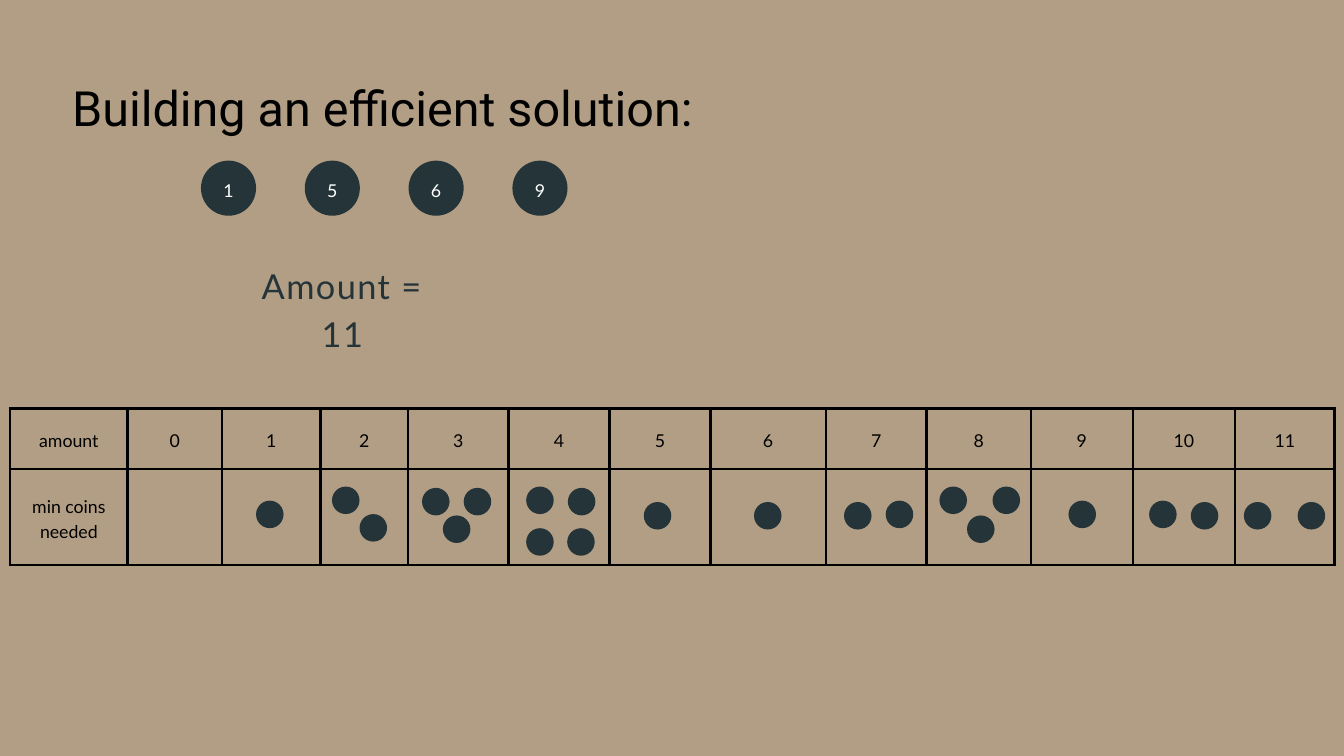
from dataclasses import dataclass

from lxml import etree
from pptx import Presentation
from pptx.dml.color import RGBColor
from pptx.enum.shapes import MSO_SHAPE
from pptx.enum.text import MSO_ANCHOR, PP_ALIGN
from pptx.oxml.ns import qn
from pptx.util import Inches, Pt

OVAL = MSO_SHAPE.OVAL
CENTER = PP_ALIGN.CENTER
MIDDLE = MSO_ANCHOR.MIDDLE
TOP = MSO_ANCHOR.TOP

TAN = RGBColor(0xB2, 0x9E, 0x84)
SLATE = RGBColor(0x25, 0x34, 0x39)
BLACK = RGBColor(0, 0, 0)
WHITE = RGBColor(0xFF, 0xFF, 0xFF)

TABLE_LEFT, TABLE_TOP = 0.15, 6.08
COLUMN_WIDTHS = [1.75, 1.4, 1.47, 1.3, 1.5, 1.5, 1.5, 1.72, 1.5, 1.55, 1.52, 1.52, 1.48]
ROW_HEIGHTS = [0.9, 1.43]
CELL_MARGIN = 0.21
BORDER_WIDTH = 3

COIN_VALUES = [1, 5, 6, 9]
COIN_LEFT, COIN_TOP, COIN_STEP, COIN_SIZE = 2.99, 2.39, 1.545, 0.82
DOT_SIZE = 0.41

# Left and top of each small coin, by the amount it helps to pay
DOTS = {
    1: [(3.81, 7.45)],
    2: [(4.94, 7.24), (5.35, 7.65)],
    3: [(6.28, 7.26), (6.9, 7.26), (6.59, 7.67)],
    4: [(7.83, 7.24), (8.45, 7.26), (7.83, 7.86), (8.44, 7.86)],
    5: [(9.58, 7.47)],
    6: [(11.22, 7.47)],
    7: [(12.56, 7.47), (13.18, 7.45)],
    8: [(13.98, 7.24), (14.77, 7.24), (14.39, 7.67)],
    9: [(15.9, 7.45)],
    10: [(17.1, 7.45), (17.72, 7.47)],
    11: [(18.51, 7.47), (19.31, 7.47)],
}


@dataclass(frozen=True)
class TextStyle:
    font: str
    size: float
    color: RGBColor
    line_spacing: float
    tracking: float = 0


TITLE = TextStyle("Roboto", 52, BLACK, 72.8)
AMOUNT = TextStyle("Lato", 36.8, SLATE, 51.6, 1.5)
CELL = TextStyle("Lato", 19, BLACK, 26.6)
COIN = TextStyle("Lato", 19, WHITE, 26.6, 0.8)


def write_text(frame, text: str, style: TextStyle) -> None:
    para = frame.paragraphs[0]
    para.alignment = CENTER
    para.line_spacing = Pt(style.line_spacing)
    span = para.add_run()
    span.text = text
    font_format = {"name": style.font, "size": Pt(style.size)}
    for name, value in font_format.items():
        setattr(span.font, name, value)
    span.font.color.rgb = style.color
    if style.tracking:
        span._r.get_or_add_rPr().set("spc", str(round(style.tracking * 100)))


def format_frame(frame, margin: float, anchor: MSO_ANCHOR) -> None:
    frame_format = {
        "word_wrap": True,
        "vertical_anchor": anchor,
        "margin_left": Inches(margin),
        "margin_right": Inches(margin),
        "margin_top": Inches(margin),
        "margin_bottom": Inches(margin),
    }
    for name, value in frame_format.items():
        setattr(frame, name, value)


def add_text(page, left: float, top: float, width: float, height: float,
             text: str, style: TextStyle) -> None:
    box = page.shapes.add_textbox(Inches(left), Inches(top), Inches(width), Inches(height))
    format_frame(box.text_frame, 0, TOP)
    write_text(box.text_frame, text, style)


def add_coin(page, left: float, top: float, size: float, label: str = "") -> None:
    coin = page.shapes.add_shape(OVAL, Inches(left), Inches(top), Inches(size), Inches(size))
    coin.shadow.inherit = False
    coin.fill.solid()
    coin.fill.fore_color.rgb = SLATE
    coin.line.fill.background()
    if label:
        format_frame(coin.text_frame, 0.06, MIDDLE)
        write_text(coin.text_frame, label, COIN)


def add_borders(cell) -> None:
    properties = cell._tc.get_or_add_tcPr()
    for side in ("a:lnL", "a:lnR", "a:lnT", "a:lnB"):
        line = etree.SubElement(properties, qn(side), w=str(Pt(BORDER_WIDTH)))
        fill = etree.SubElement(line, qn("a:solidFill"))
        etree.SubElement(fill, qn("a:srgbClr"), val=str(BLACK))


def add_amount_table(page) -> None:
    rows = [
        ["amount"] + [str(amount) for amount in range(12)],
        ["min coins needed"] + [""] * 12,
    ]
    table = page.shapes.add_table(
        len(rows), len(COLUMN_WIDTHS), Inches(TABLE_LEFT), Inches(TABLE_TOP),
        Inches(sum(COLUMN_WIDTHS)), Inches(sum(ROW_HEIGHTS))).table
    table.first_row = False
    table.horz_banding = False
    for column, width in zip(table.columns, COLUMN_WIDTHS):
        column.width = Inches(width)
    for row, height, texts in zip(table.rows, ROW_HEIGHTS, rows):
        row.height = Inches(height)
        for cell, text in zip(row.cells, texts):
            add_borders(cell)
            cell.fill.background()
            cell.vertical_anchor = MIDDLE
            for side in ("left", "right", "top", "bottom"):
                setattr(cell, f"margin_{side}", Inches(CELL_MARGIN))
            if text:
                write_text(cell.text_frame, text, CELL)


def main() -> None:
    deck = Presentation()
    deck.slide_width = Inches(20)
    deck.slide_height = Inches(11.25)
    page = deck.slides.add_slide(deck.slide_layouts[6])
    page.background.fill.solid()
    page.background.fill.fore_color.rgb = TAN

    add_amount_table(page)
    for index, value in enumerate(COIN_VALUES):
        add_coin(page, COIN_LEFT + index * COIN_STEP, COIN_TOP, COIN_SIZE, str(value))
    add_text(page, 0.52, 1.02, 10.34, 0.97, "Building an efficient solution:", TITLE)
    add_text(page, 3.7, 3.84, 2.79, 0.69, "Amount = 11", AMOUNT)
    for places in DOTS.values():
        for left, top in places:
            add_coin(page, left, top, DOT_SIZE)

    deck.save("out.pptx")


if __name__ == "__main__":
    main()
